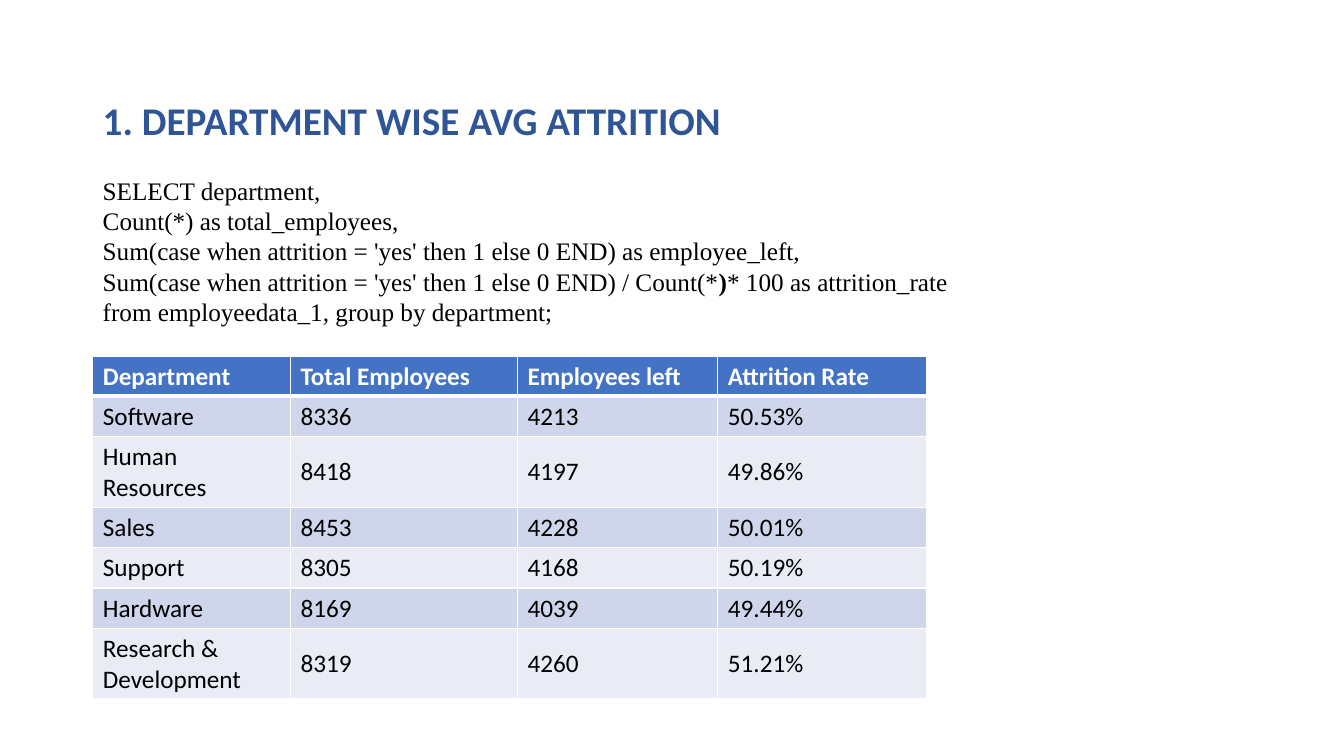
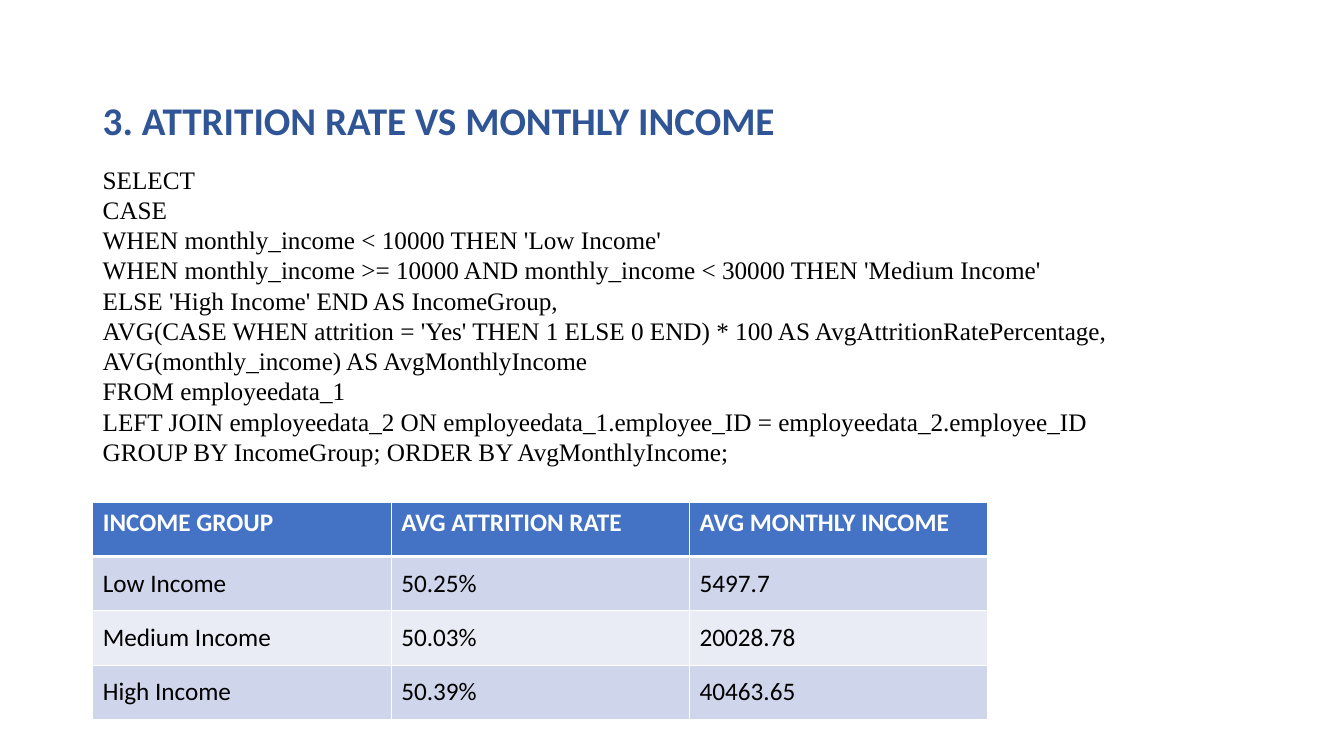
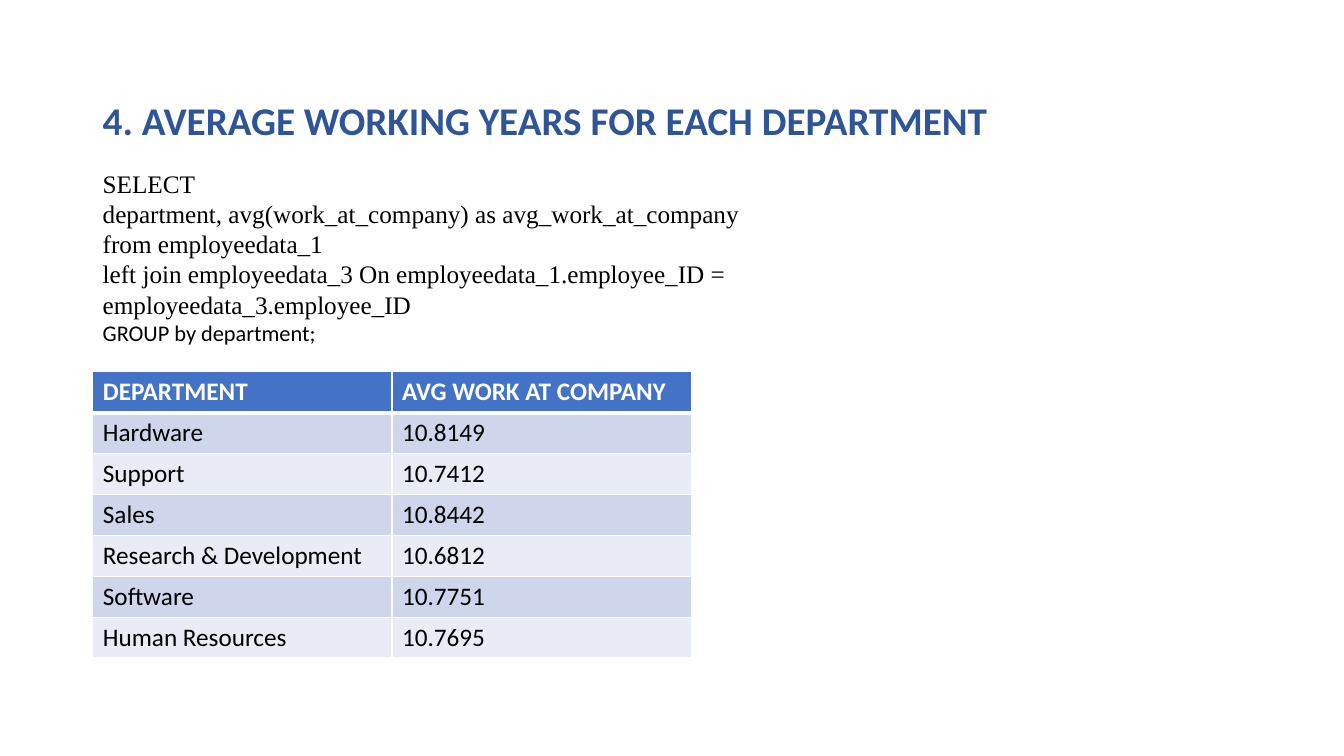
from dataclasses import dataclass

from lxml.etree import SubElement
from pptx import Presentation
from pptx.dml.color import RGBColor as RGB
from pptx.enum.text import MSO_ANCHOR as Anchor, MSO_AUTO_SIZE as AutoSize
from pptx.oxml.ns import qn
from pptx.slide import Slide
from pptx.table import _Cell as Cell
from pptx.text.text import _Paragraph as Paragraph
from pptx.util import Cm, Pt


@dataclass(frozen=True)
class Theme:
    title: str = "2F5597"
    header: str = "4472C4"
    bands: tuple[str, str] = ("CFD5EA", "E9EBF5")
    white: str = "FFFFFF"
    black: str = "000000"
    sans: str = "Calibri"
    serif: str = "Times New Roman"
    title_size: int = 28
    body_size: int = 18
    small_size: int = 16
    rule: int = 1
    header_rule: int = 3


THEME = Theme()
LEFT, TITLE_TOP, TITLE_HEIGHT = 2.34, 2.31, 1.45


@dataclass(frozen=True)
class Run:
    text: str
    size: int = THEME.body_size
    font: str = THEME.serif
    color: str = THEME.black
    bold: bool = False


@dataclass(frozen=True)
class Query:
    top: float
    width: float
    height: float
    lines: list[list[Run]]


@dataclass(frozen=True)
class Grid:
    top: float
    cols: list[float]
    heights: list[float]
    rows: list[list[str]]


@dataclass(frozen=True)
class Page:
    title: str
    title_width: float
    query: Query
    grid: Grid


def plain(*lines: str) -> list[list[Run]]:
    return [[Run(line)] for line in lines]


PAGES = [
    Page(
        "1. DEPARTMENT WISE AVG ATTRITION",
        18.34,
        Query(4.29, 24.08, 4.88, [
            *plain(
                "SELECT department,",
                "Count(*) as total_employees,",
                "Sum(case when attrition = 'yes' then 1 else 0 END) as employee_left,",
            ),
            [
                Run("Sum(case when attrition = 'yes' then 1 else 0 END) / Count(*"),
                Run(")", bold=True),
                Run("* 100 as attrition_rate"),
            ],
            *plain("from employeedata_1, group by department;"),
        ]),
        Grid(8.97, [4.98, 5.72, 5.05, 5.26], [0.91, 0.91, 1.63, 0.91, 0.91, 0.91, 1.63], [
            ["Department", "Total Employees", "Employees left", "Attrition Rate"],
            ["Software", "8336", "4213", "50.53%"],
            ["Human Resources", "8418", "4197", "49.86%"],
            ["Sales", "8453", "4228", "50.01%"],
            ["Support", "8305", "4168", "50.19%"],
            ["Hardware", "8169", "4039", "49.44%"],
            ["Research & Development", "8319", "4260", "51.21%"],
        ]),
    ),
    Page(
        "3. ATTRITION RATE VS MONTHLY INCOME",
        18.34,
        Query(4.01, 29.62, 7.95, plain(
            "SELECT",
            "CASE",
            "WHEN monthly_income < 10000 THEN 'Low Income'",
            "WHEN monthly_income >= 10000 AND monthly_income < 30000 THEN 'Medium Income'",
            "ELSE 'High Income' END AS IncomeGroup,",
            "AVG(CASE WHEN attrition = 'Yes' THEN 1 ELSE 0 END) * 100 AS AvgAttritionRatePercentage,",
            "AVG(monthly_income) AS AvgMonthlyIncome",
            "FROM employeedata_1",
            "LEFT JOIN employeedata_2 ON employeedata_1.employee_ID = employeedata_2.employee_ID",
            "GROUP BY IncomeGroup; ORDER BY AvgMonthlyIncome;",
        )),
        Grid(12.65, [7.52] * 3, [1.37] * 4, [
            ["INCOME GROUP", "AVG ATTRITION RATE", "AVG MONTHLY INCOME"],
            ["Low Income", "50.25%", "5497.7"],
            ["Medium Income", "50.03%", "20028.78"],
            ["High Income", "50.39%", "40463.65"],
        ]),
    ),
    Page(
        "4. AVERAGE WORKING YEARS FOR EACH DEPARTMENT",
        23.37,
        Query(4.11, 16.94, 4.78, [
            *plain(
                "SELECT",
                "department, avg(work_at_company) as avg_work_at_company",
                "from employeedata_1",
                "left join employeedata_3 On employeedata_1.employee_ID = employeedata_3.employee_ID",
            ),
            [Run("GROUP by department;", THEME.small_size, THEME.sans)],
        ]),
        Grid(9.37, [7.54] * 2, [1.03] * 7, [
            ["DEPARTMENT", "AVG WORK AT COMPANY"],
            ["Hardware", "10.8149"],
            ["Support", "10.7412"],
            ["Sales", "10.8442"],
            ["Research & Development", "10.6812"],
            ["Software", "10.7751"],
            ["Human Resources", "10.7695"],
        ]),
    ),
]


def add_run(p: Paragraph, run: Run) -> None:
    r = p.add_run()
    r.text = run.text
    r.font.name = run.font
    r.font.size = Pt(run.size)
    r.font.bold = run.bold
    r.font.color.rgb = RGB.from_string(run.color)


def add_text(s: Slide, top: float, width: float, height: float, lines: list[list[Run]]) -> None:
    sp = s.shapes.add_textbox(Cm(LEFT), Cm(top), Cm(width), Cm(height))
    tf = sp.text_frame
    tf.word_wrap = True
    tf.auto_size = AutoSize.SHAPE_TO_FIT_TEXT
    for i, line in enumerate(lines):
        p = tf.add_paragraph() if i else tf.paragraphs[0]
        for run in line:
            add_run(p, run)


def set_borders(cell: Cell, top: int, bottom: int) -> None:
    tc_pr = cell._tc.get_or_add_tcPr()
    widths = {"a:lnL": THEME.rule, "a:lnR": THEME.rule, "a:lnT": top, "a:lnB": bottom}
    for tag, width in widths.items():
        ln = SubElement(tc_pr, qn(tag), w=str(Pt(width)))
        fill = SubElement(ln, qn("a:solidFill"))
        SubElement(fill, qn("a:srgbClr"), val=THEME.white)


def add_grid(s: Slide, grid: Grid) -> None:
    frame = s.shapes.add_table(
        len(grid.rows), len(grid.cols), Cm(LEFT), Cm(grid.top),
        Cm(sum(grid.cols)), Cm(sum(grid.heights)),
    )
    table = frame.table
    for col, width in zip(table.columns, grid.cols):
        col.width = Cm(width)
    for i, (row, height, texts) in enumerate(zip(table.rows, grid.heights, grid.rows)):
        row.height = Cm(height)
        head = i == 0
        color = THEME.white if head else THEME.black
        fill = THEME.header if head else THEME.bands[(i - 1) % 2]
        top = THEME.header_rule if i == 1 else THEME.rule
        bottom = THEME.header_rule if head else THEME.rule
        for cell, text in zip(row.cells, texts):
            set_borders(cell, top, bottom)
            cell.fill.solid()
            cell.fill.fore_color.rgb = RGB.from_string(fill)
            cell.vertical_anchor = Anchor.TOP if head else Anchor.MIDDLE
            p = cell.text_frame.paragraphs[0]
            add_run(p, Run(text, font=THEME.sans, color=color, bold=head))


def main() -> None:
    prs = Presentation()
    prs.slide_width, prs.slide_height = Cm(33.87), Cm(19.05)
    for page in PAGES:
        s = prs.slides.add_slide(prs.slide_layouts[6])
        title = Run(page.title, THEME.title_size, THEME.sans, THEME.title, True)
        add_text(s, TITLE_TOP, page.title_width, TITLE_HEIGHT, [[title]])
        query = page.query
        add_text(s, query.top, query.width, query.height, query.lines)
        add_grid(s, page.grid)
    prs.save("out.pptx")


if __name__ == "__main__":
    main()
